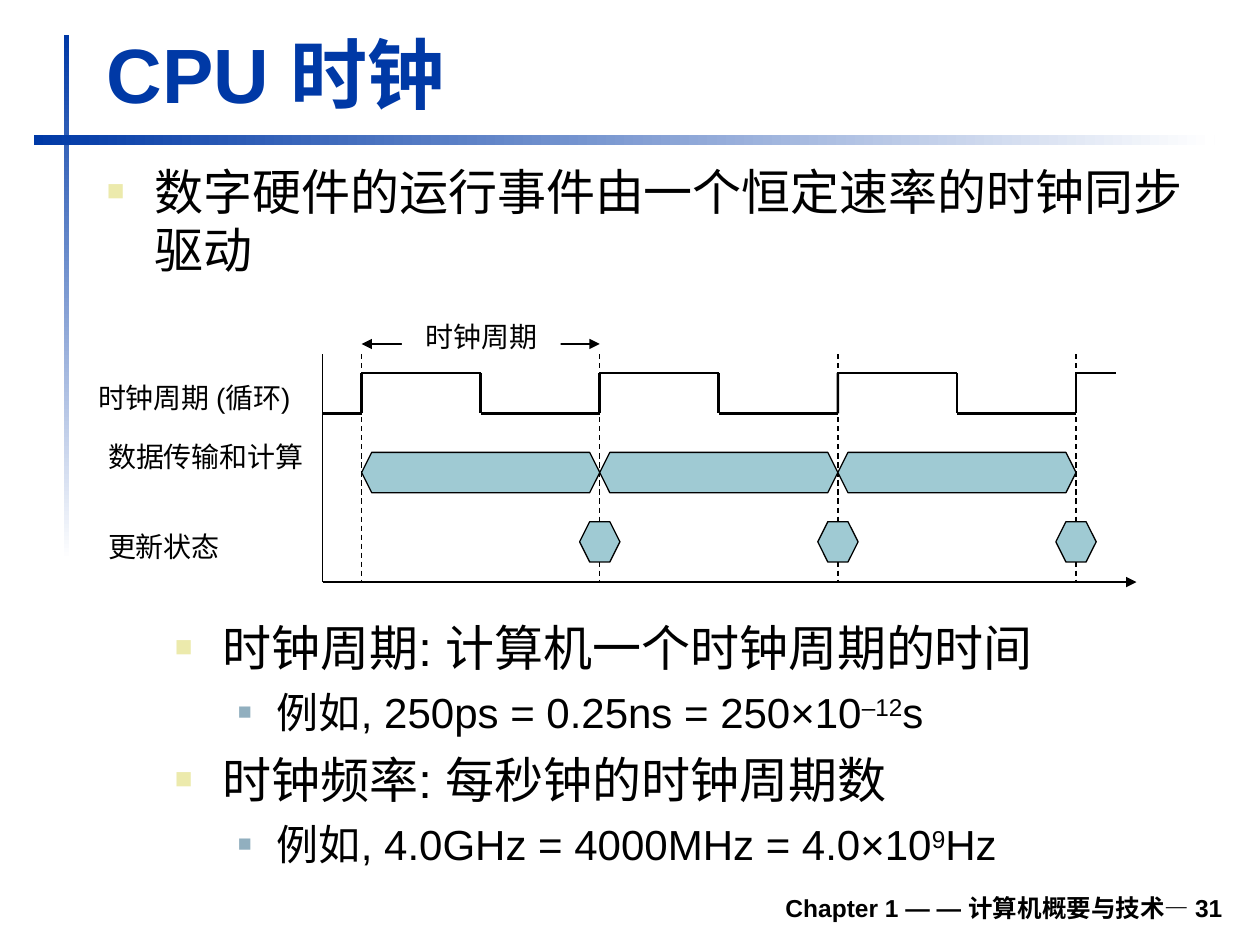
from dataclasses import dataclass
from lxml import etree
from pptx import Presentation
from pptx.dml.color import RGBColor
from pptx.enum.dml import MSO_LINE
from pptx.enum.shapes import MSO_CONNECTOR, MSO_SHAPE
from pptx.enum.text import MSO_ANCHOR, PP_ALIGN
from pptx.oxml.ns import qn
from pptx.util import Inches, Pt

STRAIGHT = MSO_CONNECTOR.STRAIGHT
RECT = MSO_SHAPE.RECTANGLE
DASH = MSO_LINE.DASH
TOP, BOTTOM = MSO_ANCHOR.TOP, MSO_ANCHOR.BOTTOM
LEFT, CENTER, RIGHT = PP_ALIGN.LEFT, PP_ALIGN.CENTER, PP_ALIGN.RIGHT


@dataclass
class Theme:
    font: str = "Arial"
    blue: str = "0039A6"
    white: str = "FFFFFF"
    black: str = "000000"
    teal: str = "9FCAD3"
    marks: tuple = ("ECEAAC", "91AFBF")
    title: int = 44
    body: tuple = (28, 24)
    label: int = 16
    foot: int = 14
    thin: float = 0.75
    thick: float = 1.5


def rgb(code):
    return RGBColor.from_string(code)


class Board:
    def __init__(self, slide, theme):
        self.shapes = slide.shapes
        self.theme = theme

    def rect(self, box, fill=None, angle=None):
        """A plain fill, or a blue fade when an angle is given."""
        shape = self.shapes.add_shape(RECT, *map(Inches, box))
        shape.shadow.inherit = False
        shape.line.fill.background()
        if angle is None:
            shape.fill.solid()
            shape.fill.fore_color.rgb = rgb(fill)
        else:
            shape.fill.gradient()
            shape.fill.gradient_angle = angle
            ends = (self.theme.blue, self.theme.white)
            for stop, code in zip(shape.fill.gradient_stops, ends):
                stop.color.rgb = rgb(code)

    def line(self, start, end, width, dash=None, arrows=()):
        line = self.shapes.add_connector(STRAIGHT, *map(Inches, start + end))
        line.line.color.rgb = rgb(self.theme.black)
        line.line.width = Pt(width)
        if dash:
            line.line.dash_style = dash
        for tag in arrows:
            etree.SubElement(line.line._get_or_add_ln(), qn(tag), type="triangle")
        etree.SubElement(line._element.spPr, qn("a:effectLst"))

    def hexa(self, left, top, width, height, cut=0.08):
        right, mid, low = left + width, top + height / 2, top + height
        points = [(left + cut, top), (right - cut, top), (right, mid),
                  (right - cut, low), (left + cut, low)]
        form = self.shapes.build_freeform(Inches(left), Inches(mid))
        form.add_line_segments([(Inches(x), Inches(y)) for x, y in points])
        shape = form.convert_to_shape()
        shape.shadow.inherit = False
        shape.fill.solid()
        shape.fill.fore_color.rgb = rgb(self.theme.teal)
        shape.line.color.rgb = rgb(self.theme.black)
        shape.line.width = Pt(self.theme.thin)

    def frame(self, box, anchor=TOP, wrap=True):
        frame = self.shapes.add_textbox(*map(Inches, box)).text_frame
        frame.word_wrap = wrap
        frame.vertical_anchor = anchor
        return frame

    def run(self, par, text, size, color, bold=False, base=0):
        run = par.add_run()
        run.text = text
        font = run.font
        font.name, font.size, font.bold = self.theme.font, Pt(size), bold
        font.color.rgb = rgb(color)
        if base:
            font._element.set("baseline", str(base * 1000))

    def text(self, box, text, size, color=None, bold=False, align=LEFT,
             anchor=TOP, wrap=True):
        par = self.frame(box, anchor, wrap).paragraphs[0]
        par.alignment = align
        self.run(par, text, size, color or self.theme.black, bold)

    def bullets(self, box, items):
        """Each item is a level and its runs; every second run is raised."""
        frame = self.frame(box)
        for index, (level, parts) in enumerate(items):
            par = frame.add_paragraph() if index else frame.paragraphs[0]
            par.level = level
            self.mark(par, level)
            if index:
                par.space_before = Pt((7, 6)[level])
            for spot, part in enumerate(parts):
                self.run(par, part, self.theme.body[level], self.theme.black,
                         base=30 * (spot % 2))

    def mark(self, par, level):
        props = par._p.get_or_add_pPr()
        props.set("marL", str(Inches((0.38, 0.81)[level])))
        props.set("indent", str(Inches((-0.38, -0.31)[level])))
        tint = etree.SubElement(props, qn("a:buClr"))
        etree.SubElement(tint, qn("a:srgbClr"), val=self.theme.marks[level])
        etree.SubElement(props, qn("a:buSzPct"), val=("60000", "55000")[level])
        etree.SubElement(props, qn("a:buFont"), typeface=self.theme.font)
        etree.SubElement(props, qn("a:buChar"), char="■")


def main():
    deck = Presentation()
    deck.slide_width, deck.slide_height = Inches(10), Inches(7.5)
    look = Theme()
    board = Board(deck.slides.add_slide(deck.slide_layouts[6]), look)

    # Fading rules, footer, title and lead
    board.rect((0.51, 0.28, 0.04, 4.17), angle=270)
    board.rect((0.27, 1.07, 9.37, 0.08), angle=0)
    board.text((1.85, 6.98, 7.95, 0.39), "Chapter 1 — — 计算机概要与技术— 31",
               look.foot, bold=True, align=RIGHT, anchor=BOTTOM)
    board.text((0.75, 0.16, 9.03, 0.83), "CPU 时钟", look.title, look.blue,
               bold=True, anchor=BOTTOM)
    board.bullets((0.75, 1.23, 9.04, 1.34),
                  [(0, ["数字硬件的运行事件由一个恒定速率的时钟同步驱动"])])

    # Clock edges and the span of one period
    first, step, count = 2.87, 1.89, 3
    edges = [first + step * i for i in range(count + 1)]
    left, top, base = 2.56, 2.81, 4.62
    board.line((first, 2.73), (edges[1], 2.73), look.thin,
               arrows=("a:headEnd", "a:tailEnd"))
    for x in edges:
        board.line((x, top), (x, base), look.thin, DASH)
    board.rect((3.19, 2.65, 1.26, 0.16), look.white)
    board.text((3.25, 2.49, 1.14, 0.37), "时钟周期", look.label,
               align=CENTER, wrap=False)

    # Square wave
    high, low = 2.96, 3.28
    wave = [(left, low), (first, low)]
    for x in edges[:-1]:
        half = x + step / 2
        wave += [(x, high), (half, high), (half, low), (x + step, low)]
    wave += [(edges[-1], high), (8.86, high)]
    for start, end in zip(wave, wave[1:]):
        board.line(start, end, look.thick)

    # Axes
    board.line((left, base), (9.02, base), look.thin, arrows=("a:tailEnd",))
    board.line((left, base), (left, top), look.thin)

    # Compute spans and state updates
    for x in edges[:-1]:
        board.hexa(x, 3.59, step, 0.32)
        board.hexa(x + step - 0.16, 4.14, 0.32, 0.32)

    # Row labels
    for box, text in (((0.68, 2.97, 1.89, 0.37), "时钟周期 (循环)"),
                      ((0.76, 3.44, 1.75, 0.37), "数据传输和计算"),
                      ((0.76, 4.15, 1.14, 0.37), "更新状态")):
        board.text(box, text, look.label, wrap=False)

    # Definitions
    board.bullets((1.29, 4.85, 8.5, 2.13), [
        (0, ["时钟周期: 计算机一个时钟周期的时间"]),
        (1, ["例如, 250ps = 0.25ns = 250×10", "–12", "s"]),
        (0, ["时钟频率: 每秒钟的时钟周期数"]),
        (1, ["例如, 4.0GHz = 4000MHz = 4.0×10", "9", "Hz"]),
    ])
    deck.save("out.pptx")


if __name__ == "__main__":
    main()
